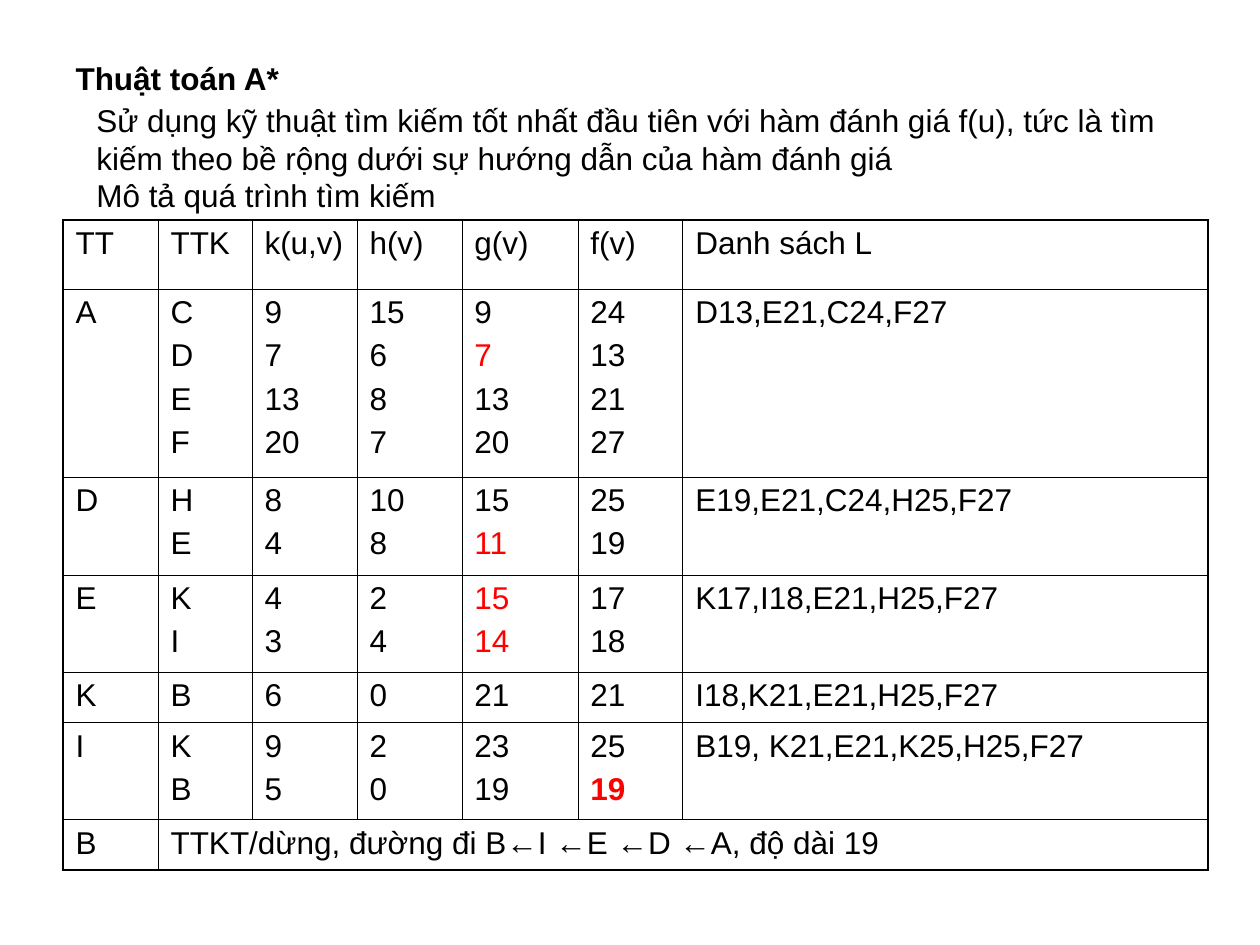
from lxml.etree import SubElement
from pptx import Presentation
from pptx.dml.color import RGBColor as RGB
from pptx.enum.text import MSO_ANCHOR as ANCHOR, MSO_AUTO_SIZE as AUTO_SIZE, PP_ALIGN as ALIGN
from pptx.oxml.ns import qn
from pptx.util import Pt

PX = 914400 // 126
COLORS = {"ink": "000000", "update": "FF0000"}


def write_line(paragraph, words, space_before, color="ink", bold=False):
    paragraph.alignment = ALIGN.LEFT
    paragraph.space_before = Pt(space_before)
    run = paragraph.add_run()
    run.text = words
    run.font.name = "Arial"
    run.font.size = Pt(18)
    run.font.bold = bold
    run.font.color.rgb = RGB.from_string(COLORS[color])


def draw_border(cell, side, points):
    line = SubElement(cell._tc.get_or_add_tcPr(), qn(f"a:{side}"), w=str(Pt(points)))
    fill = SubElement(line, qn("a:solidFill"))
    SubElement(fill, qn("a:srgbClr"), val=COLORS["ink"])


prs = Presentation()
prs.slide_width = 1260 * PX
prs.slide_height = 945 * PX
slide = prs.slides.add_slide(prs.slide_layouts[5])

heading = slide.shapes.title
heading.left, heading.top, heading.width, heading.height = [n * PX for n in (63, 53, 577, 50)]
heading.text_frame.vertical_anchor = ANCHOR.TOP
heading.text_frame.auto_size = AUTO_SIZE.NONE
write_line(heading.text_frame.paragraphs[0], "Thuật toán A*", 11.2, bold=True)

notes = [
    ("Sử dụng kỹ thuật tìm kiếm tốt nhất đầu tiên với hàm đánh giá f(u), tức là tìm "
     "kiếm theo bề rộng dưới sự hướng dẫn của hàm đánh giá", 95, 1134, 88),
    ("Mô tả quá trình tìm kiếm", 170, 546, 50),
]
for words, top, width, height in notes:
    note = slide.shapes.add_textbox(84 * PX, top * PX, width * PX, height * PX)
    note.text_frame.word_wrap = True
    write_line(note.text_frame.paragraphs[0], words, 11.2)

steps = [
    ["TT", "TTK", "k(u,v)", "h(v)", "g(v)", "f(v)", "Danh sách L"],
    ["A", "C D E F", "9 7 13 20", "15 6 8 7", "9 7 13 20", "24 13 21 27", "D13,E21,C24,F27"],
    ["D", "H E", "8 4", "10 8", "15 11", "25 19", "E19,E21,C24,H25,F27"],
    ["E", "K I", "4 3", "2 4", "15 14", "17 18", "K17,I18,E21,H25,F27"],
    ["K", "B", "6", "0", "21", "21", "I18,K21,E21,H25,F27"],
    ["I", "K B", "9 5", "2 0", "23 19", "25 19", "B19, K21,E21,K25,H25,F27"],
    ["B", "TTKT/dừng, đường đi B←I ←E ←D ←A, độ dài 19"],
]
updates = {(1, 4, 1), (2, 4, 1), (3, 4, 0), (3, 4, 1), (5, 5, 1)}
goal = (5, 5, 1)
column_widths = [95, 94, 105, 105, 116, 105, 525]
row_heights = [69, 188, 98, 97, 50, 97, 50]
last_row, last_column = len(row_heights) - 1, len(column_widths) - 1

trace = slide.shapes.add_table(
    len(row_heights), len(column_widths), 63 * PX, 220 * PX,
    sum(column_widths) * PX, sum(row_heights) * PX).table
trace.first_row = trace.horz_banding = False
for column, width in zip(trace.columns, column_widths):
    column.width = width * PX
for row, height in zip(trace.rows, row_heights):
    row.height = height * PX
trace.cell(last_row, 1).merge(trace.cell(last_row, last_column))

for r, step in enumerate(steps):
    for c, content in enumerate(step):
        cell = trace.cell(r, c)
        values = content.split() if 0 < r < last_row and c < last_column else [content]
        for i, value in enumerate(values):
            paragraph = cell.text_frame.add_paragraph() if i else cell.text_frame.paragraphs[0]
            color = "update" if (r, c, i) in updates else "ink"
            write_line(paragraph, value, 4.5, color, (r, c, i) == goal)
        outer_edges = {"lnL": c == 0, "lnR": c == len(step) - 1,
                       "lnT": r == 0, "lnB": r == last_row}
        for side, is_outer in outer_edges.items():
            draw_border(cell, side, 1.08 if is_outer else 0.45)
        cell.fill.background()

prs.save("out.pptx")
